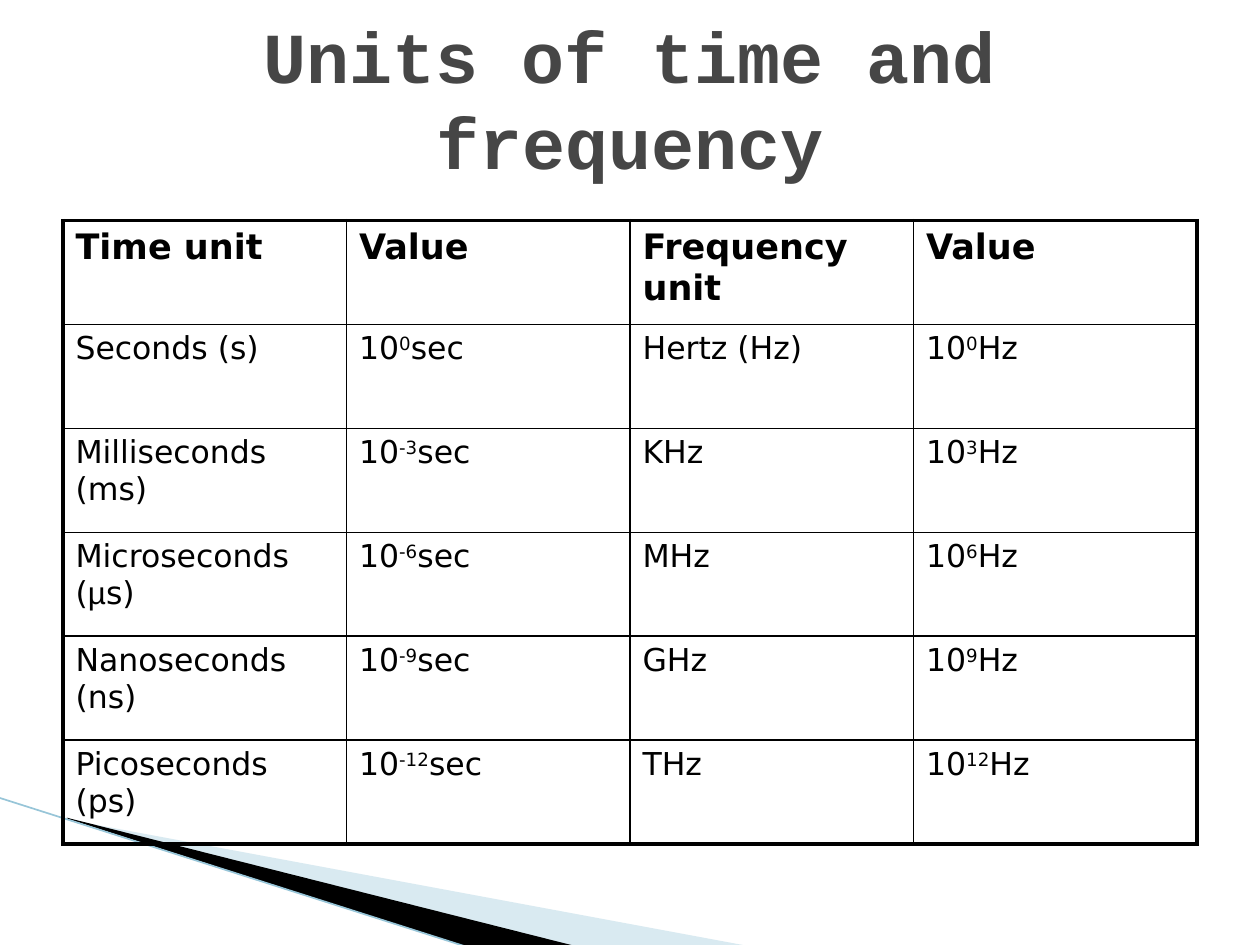
"""Builds a slide with a table of time and frequency units."""
from pptx import Presentation
from pptx.dml.color import RGBColor
from pptx.enum.shapes import MSO_CONNECTOR
from pptx.enum.text import MSO_ANCHOR, MSO_AUTO_SIZE, PP_ALIGN
from pptx.oxml import parse_xml
from pptx.oxml.ns import nsdecls, qn
from pptx.util import Pt

STRAIGHT = MSO_CONNECTOR.STRAIGHT
MIDDLE = MSO_ANCHOR.MIDDLE
NO_FIT = MSO_AUTO_SIZE.NONE
CENTER = PP_ALIGN.CENTER
SIDES = ("L", "R", "T", "B")


def rgb(value):
    return RGBColor.from_string(value)


def add_run(p, text, color, **font):
    r = p.add_run()
    r.text = text
    r.font.color.rgb = rgb(color)
    for name, value in font.items():
        setattr(r.font, name, value)
    return r


prs = Presentation()
prs.slide_width, prs.slide_height = Pt(720), Pt(540)
s = prs.slides.add_slide(prs.slide_layouts[5])

wedges = [
    ([(39.6, 468.5), (428.4, 540.7), (328.3, 540.7), (39.6, 468)], "A0CBDC", 40),
    ([(38.2, 467.3), (329, 540.7), (267.8, 541.4), (38.9, 468)], "000000", 100),
]
for points, color, opacity in wedges:
    corners = [(Pt(x), Pt(y)) for x, y in points]
    fb = s.shapes.build_freeform(*corners[0])
    fb.add_line_segments(corners[1:], close=True)
    sp = fb.convert_to_shape()
    sp.shadow.inherit = False
    sp.fill.solid()
    sp.fill.fore_color.rgb = rgb(color)
    sp.line.fill.background()
    if opacity < 100:
        clr = sp.fill._xPr.find(qn("a:solidFill"))[0]
        clr.append(parse_xml(f'<a:alpha {nsdecls("a")} val="{opacity * 1000}"/>'))

line = s.shapes.add_connector(STRAIGHT, Pt(-0.7), Pt(455.8), Pt(267.8), Pt(541.4))
line.line.color.rgb = rgb("97C5D8")
line.line.width = Pt(0.95)
line._element.spPr.append(parse_xml(f'<a:effectLst {nsdecls("a")}/>'))

title = s.shapes.title
title.left, title.top, title.width, title.height = Pt(36), Pt(21.6), Pt(648), Pt(68.4)
tf = title.text_frame
tf.word_wrap = True
tf.auto_size = NO_FIT
tf.vertical_anchor = MIDDLE
p = tf.paragraphs[0]
p.alignment = CENTER
add_run(p, "Units of time and frequency", "464646", name="Courier New", size=Pt(41), bold=True)

rows = [
    ("Time unit", "Value", "Frequency unit", "Value"),
    ("Seconds (s)", "10^0^sec", "Hertz (Hz)", "10^0^Hz"),
    ("Milliseconds (ms)", "10^-3^sec", "KHz", "10^3^Hz"),
    ("Microseconds (^µ^s)", "10^-6^sec", "MHz", "10^6^Hz"),
    ("Nanoseconds (ns)", "10^-9^sec", "GHz", "10^9^Hz"),
    ("Picoseconds (ps)", "10^-12^sec", "THz", "10^12^Hz"),
]
n_rows, n_cols = len(rows), len(rows[0])
table = s.shapes.add_table(n_rows, n_cols, Pt(36), Pt(126), Pt(648), Pt(356.4)).table
table.first_row = table.horz_banding = False

for i, row in enumerate(rows):
    for j, text in enumerate(row):
        cell = table.cell(i, j)
        outer = dict(zip(SIDES, (j == 0, j == n_cols - 1, i == 0, i == n_rows - 1)))
        tcPr = cell._tc.get_or_add_tcPr()
        for side in SIDES:
            width = Pt(2.25 if outer[side] else 1)
            tcPr.append(parse_xml(
                f'<a:ln{side} {nsdecls("a")} w="{width}"><a:solidFill>'
                f'<a:srgbClr val="000000"/></a:solidFill></a:ln{side}>'))
        cell.fill.background()
        p = cell.text_frame.paragraphs[0]
        for k, part in enumerate(text.split("^")):
            font = "Arial" if part == "µ" else "DejaVu Sans"
            r = add_run(p, part, "000000", name=font, size=Pt(18 if i else 20), bold=i == 0)
            if k == 1 and part != "µ":
                r.font._element.set("baseline", "30000")

prs.save("out.pptx")
